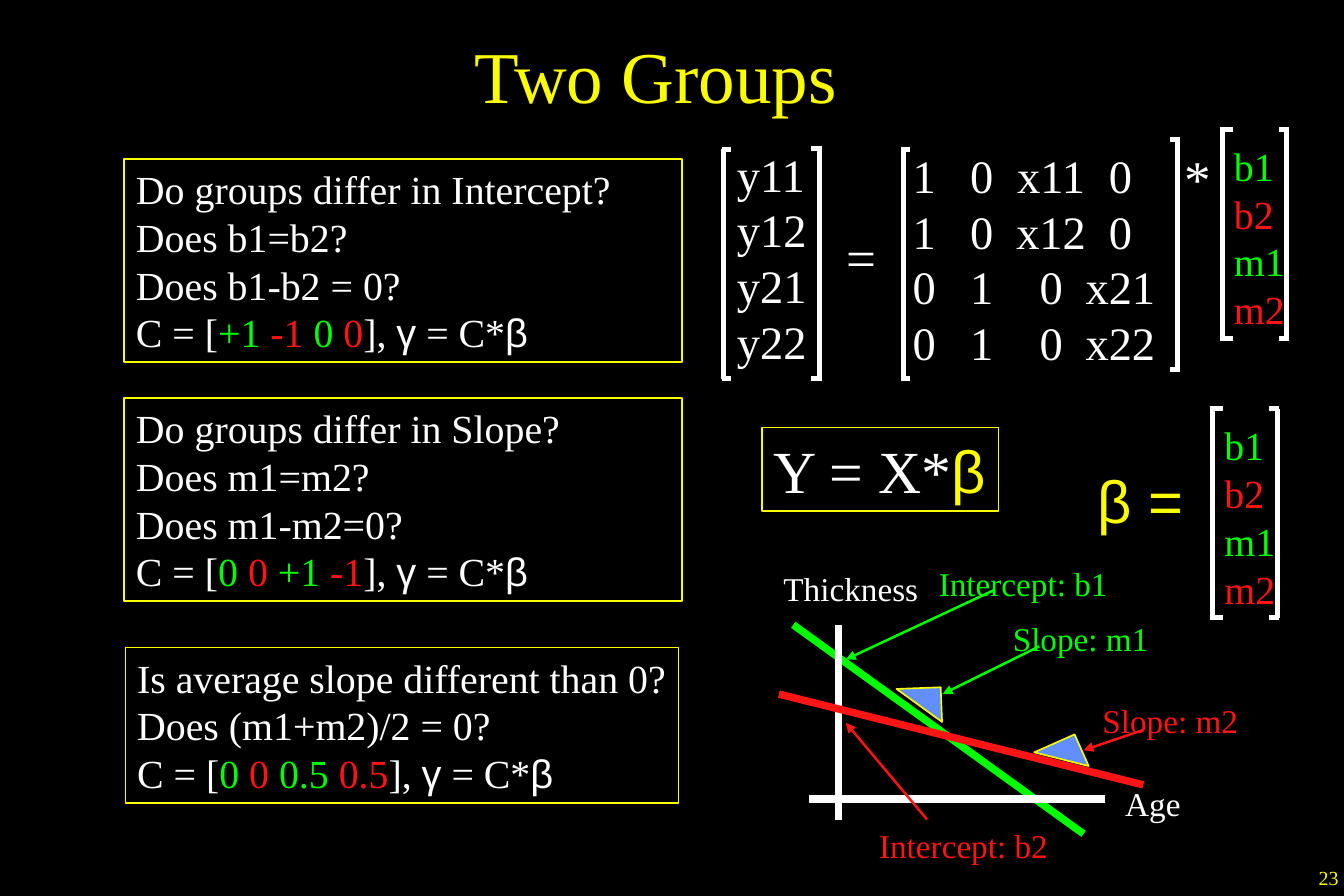
from dataclasses import dataclass
from lxml.etree import SubElement
from pptx import Presentation
from pptx.dml.color import RGBColor
from pptx.enum.shapes import MSO_CONNECTOR, MSO_SHAPE
from pptx.enum.text import MSO_ANCHOR, MSO_AUTO_SIZE, PP_ALIGN
from pptx.oxml.ns import qn
from pptx.util import Inches, Pt

COLS, ROWS = 225, 150
WIDTH, HEIGHT = Inches(11.25), Inches(7.5)


@dataclass(frozen=True)
class Theme:
    back: str = "000000"
    text: str = "FFFFFF"
    accent: str = "FAFD00"
    group1: str = "00FF00"
    group2: str = "FD1414"
    wedge: str = "618FFD"
    serif: str = "Times New Roman"
    sans: str = "Arial"
    title: int = 44
    formula: int = 36
    operator: int = 32
    matrix: int = 28
    body: int = 24
    label: int = 20
    number: int = 12
    bracket: float = 3
    axis: float = 4.5
    arrow: float = 1.5
    border: float = 1


T = Theme()


def col(n):
    return round(WIDTH * n / COLS)


def row(n):
    return round(HEIGHT * n / ROWS)


def rgb(value):
    return RGBColor.from_string(value)


def place(at):
    x, y, w, h = at
    return col(x), row(y), col(w), row(h)


def add_run(p, text, size, color=T.text, font=T.serif):
    r = p.add_run()
    r.text = text
    r.font.size = Pt(size)
    r.font.name = font
    r.font.color.rgb = rgb(color)


def fill_text(tf, paragraphs, size, wrap=False):
    tf.word_wrap = wrap
    tf.auto_size = MSO_AUTO_SIZE.NONE
    tf.vertical_anchor = MSO_ANCHOR.TOP
    for i, runs in enumerate(paragraphs):
        p = tf.add_paragraph() if i else tf.paragraphs[0]
        p.alignment = PP_ALIGN.LEFT
        for run in runs:
            add_run(p, run[0], size, *run[1:])


def add_text(s, at, paragraphs, size):
    sp = s.shapes.add_textbox(*place(at))
    fill_text(sp.text_frame, paragraphs, size)
    return sp


def add_box(s, at, paragraphs, size):
    sp = s.shapes.add_shape(MSO_SHAPE.RECTANGLE, *place(at))
    sp.shadow.inherit = False
    sp.fill.background()
    sp.line.color.rgb = rgb(T.accent)
    sp.line.width = Pt(T.border)
    fill_text(sp.text_frame, paragraphs, size)


def add_line(s, start, end, color, width, arrow=False):
    cx = s.shapes.add_connector(
        MSO_CONNECTOR.STRAIGHT, col(start[0]), row(start[1]), col(end[0]), row(end[1]))
    cx.line.color.rgb = rgb(color)
    cx.line.width = Pt(width)
    if arrow:
        SubElement(cx.line._get_or_add_ln(), qn("a:headEnd"), type="triangle")
    SubElement(cx._element.spPr, qn("a:effectLst"))


def add_bracket(s, x, top, bottom, lip):
    back = 0.4 if lip < 0 else -0.4
    add_line(s, (x, top), (x, bottom), T.text, T.bracket)
    for y in (top, bottom):
        add_line(s, (x + back, y), (x + lip, y), T.text, T.bracket)


def add_wedge(s, at, angle):
    sp = s.shapes.add_shape(MSO_SHAPE.RIGHT_TRIANGLE, *place(at))
    sp.shadow.inherit = False
    sp.rotation = angle
    sp.fill.solid()
    sp.fill.fore_color.rgb = rgb(T.wedge)
    sp.line.color.rgb = rgb(T.accent)
    sp.line.width = Pt(T.border)


def add_title(s, text):
    sp = s.shapes.title
    sp.left, sp.top, sp.width, sp.height = place((14.2, 0, 191.2, 25))
    tf = sp.text_frame
    tf.auto_size = MSO_AUTO_SIZE.NONE
    tf.vertical_anchor = MSO_ANCHOR.MIDDLE
    p = tf.paragraphs[0]
    p.alignment = PP_ALIGN.CENTER
    add_run(p, text, T.title, T.accent)


def add_question(s, at, lines, weights):
    contrast = [("C = [",)]
    contrast += [(w, color) for w, color in weights]
    contrast += [("], ",), ("γ", T.text, T.sans), (" = C*",), ("β", T.text, T.sans)]
    add_box(s, at, [[(line,)] for line in lines] + [contrast], T.body)


def add_questions(s):
    g1, g2 = T.group1, T.group2
    add_question(s, (20.8, 26.6, 93.4, 34),
                 ["Do groups differ in Intercept?", "Does b1=b2?", "Does b1-b2 = 0?"],
                 [("+1 ", g1), ("-1 ", g2), ("0 ", g1), ("0", g2)])
    add_question(s, (20.8, 66.6, 93.4, 34),
                 ["Do groups differ in Slope?", "Does m1=m2?", "Does m1-m2=0?"],
                 [("0 ", g1), ("0 ", g2), ("+1 ", g1), ("-1", g2)])
    add_question(s, (21, 108.4, 92.6, 26),
                 ["Is average slope different than 0?", "Does (m1+m2)/2 = 0?"],
                 [("0 ", g1), ("0 ", g2), ("0.5 ", g1), ("0.5", g2)])


def add_design_matrix(s):
    rows = ["1\t0\tx11\t0", "1\t0\tx12\t0", "0\t1\t0\tx21", "0\t1\t0\tx22"]
    sp = add_text(s, (150.8, 23.6, 44.8, 39.4), [[(line,)] for line in rows], T.matrix)
    for p in sp.text_frame.paragraphs:
        tabs = SubElement(p._p.get_or_add_pPr(), qn("a:tabLst"))
        for i in range(1, 4):
            SubElement(tabs, qn("a:tab"), pos=str(col(11.6 * i)), algn="ctr")


def add_beta_vector(s, x, y):
    names = [("b1", T.group1), ("b2", T.group2), ("m1", T.group1), ("m2", T.group2)]
    add_text(s, (x, y + 1.1, 12.4, 34), [[name] for name in names], T.body)
    add_bracket(s, x, y, y + 35, 1.8)
    add_bracket(s, x + 10.8, y, y + 35, -1.3)


def add_model(s):
    values = ["y11", "y12", "y21", "y22"]
    add_text(s, (121.4, 23.4, 15.6, 39.4), [[(v,)] for v in values], T.matrix)
    add_design_matrix(s)
    for x, top, lip in [(121.2, 25, 1.2), (137.2, 24.9, -1.4),
                        (151.2, 25, 1.2), (197.2, 23.4, -1.4)]:
        add_bracket(s, x, top, top + 38.4, lip)
    add_text(s, (139.8, 36.6, 9, 12.8), [[("=",)]], T.operator)
    add_text(s, (196.4, 23.4, 8.4, 12.8), [[("*",)]], T.operator)
    add_beta_vector(s, 204.6, 21.6)
    add_box(s, (127.6, 71.6, 39.6, 14),
            [[("Y = X*",), ("β", T.accent, T.sans)]], T.formula)
    add_beta_vector(s, 203, 68.4)
    add_text(s, (181.8, 76.6, 22.4, 14), [[("β =", T.accent, T.sans)]], T.formula)


def add_plot(s):
    g1, g2 = T.group1, T.group2
    add_line(s, (132.8, 104.6), (181.4, 139.6), g1, T.axis)
    add_wedge(s, (150.2, 115.2, 7.4, 5.8), 177.8)
    add_line(s, (140.4, 104.6), (140.4, 137.2), T.text, T.axis)
    add_line(s, (135.4, 133.8), (185, 133.8), T.text, T.axis)
    add_line(s, (130.4, 116.2), (191.4, 131.4), g2, T.axis)
    add_wedge(s, (174, 124.2, 7.4, 5.8), 156)
    for start, end, color in [
            ((141.6, 110.4), (166.4, 98.8), g1), ((157.8, 116.2), (174, 108.2), g1),
            ((181.4, 125.6), (191.4, 122.2), g2), ((141.6, 121), (155.2, 137.2), g2)]:
        add_line(s, start, end, color, T.arrow, arrow=True)
    for text, x, y, w, color in [
            ("Intercept: b1", 155.2, 93.4, 32.2, g1), ("Slope: m1", 167.6, 102.6, 26.6, g1),
            ("Slope: m2", 182.6, 116.2, 26.6, g2), ("Intercept: b2", 145.2, 137.2, 32.2, g2),
            ("Thickness", 129.2, 94.2, 26.6, T.text), ("Age", 186.4, 130.2, 13.2, T.text)]:
        add_text(s, (x, y, w, 8.8), [[(text, color)]], T.label)


def main():
    prs = Presentation()
    prs.slide_width, prs.slide_height = WIDTH, HEIGHT
    s = prs.slides.add_slide(prs.slide_layouts[5])
    s.background.fill.solid()
    s.background.fill.fore_color.rgb = rgb(T.back)
    add_title(s, "Two Groups")
    add_plot(s)
    add_questions(s)
    add_model(s)
    add_text(s, (218.8, 144, 6.2, 6), [[("23", T.accent)]], T.number)
    prs.save("out.pptx")


if __name__ == "__main__":
    main()
